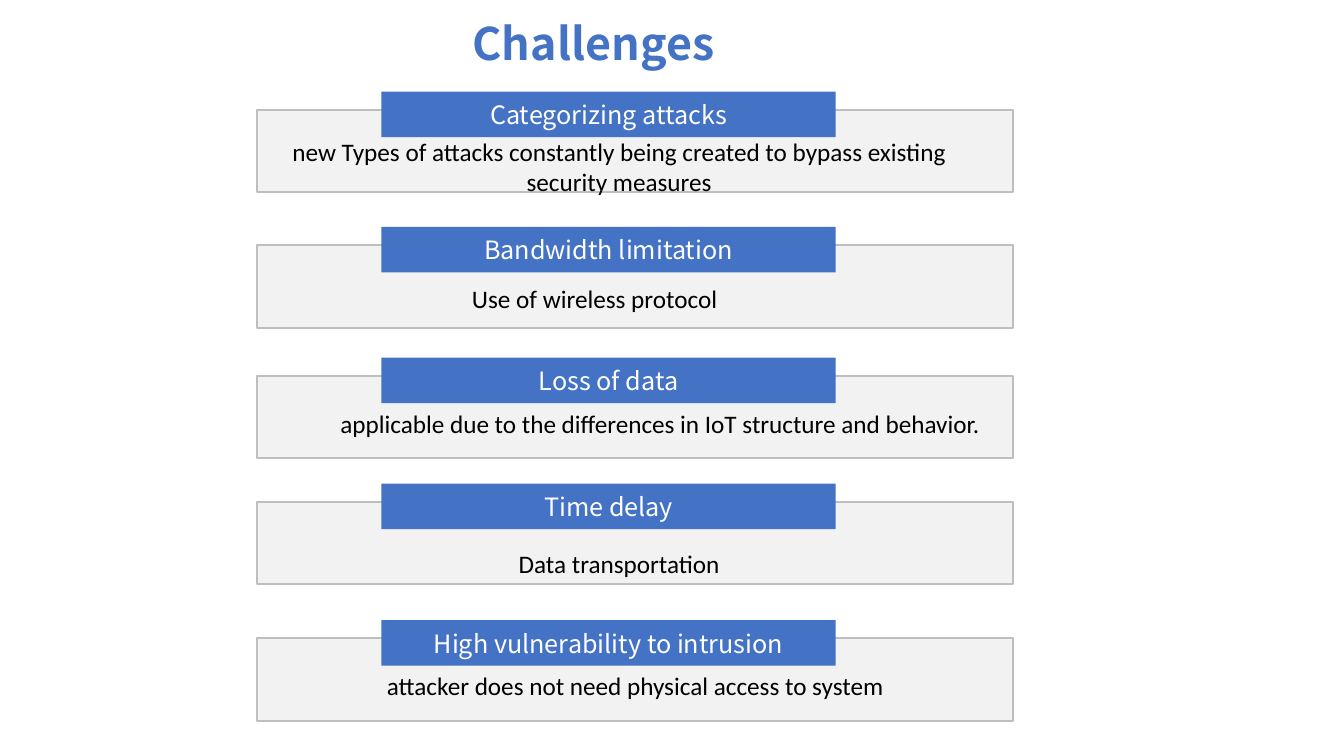
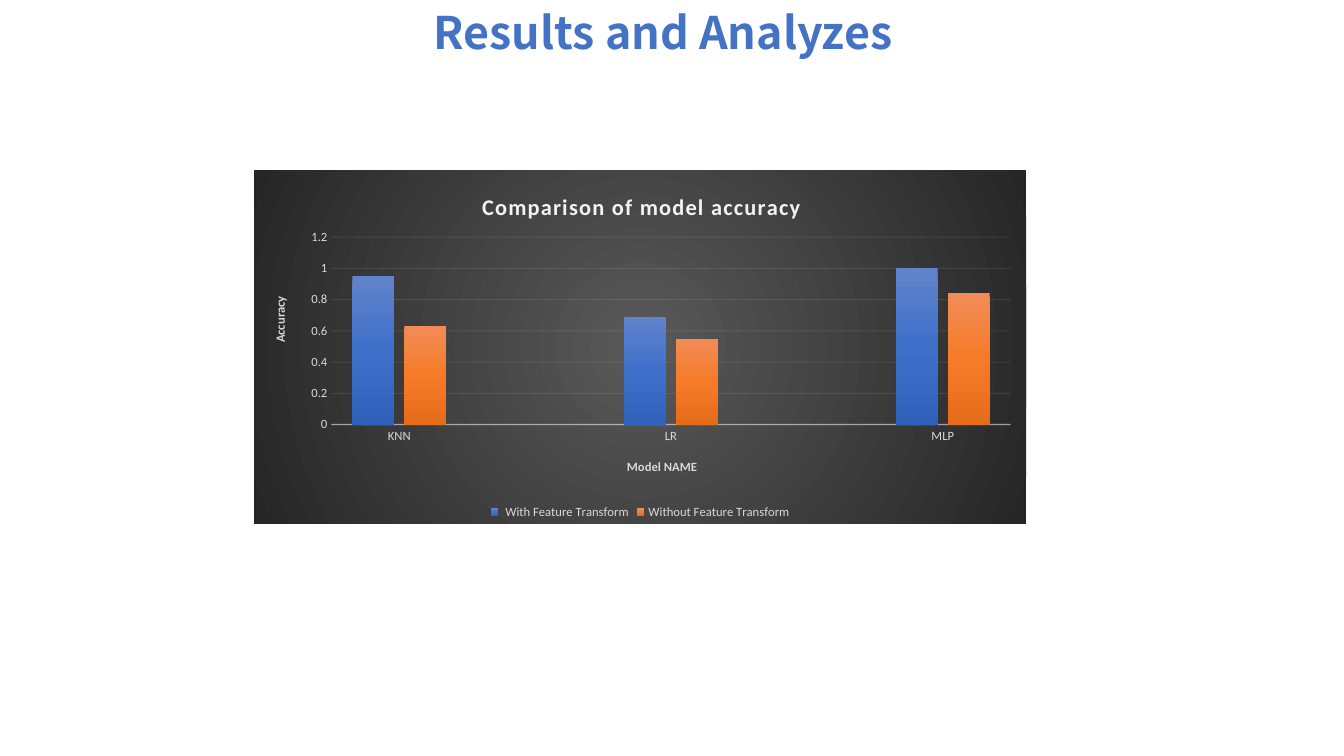
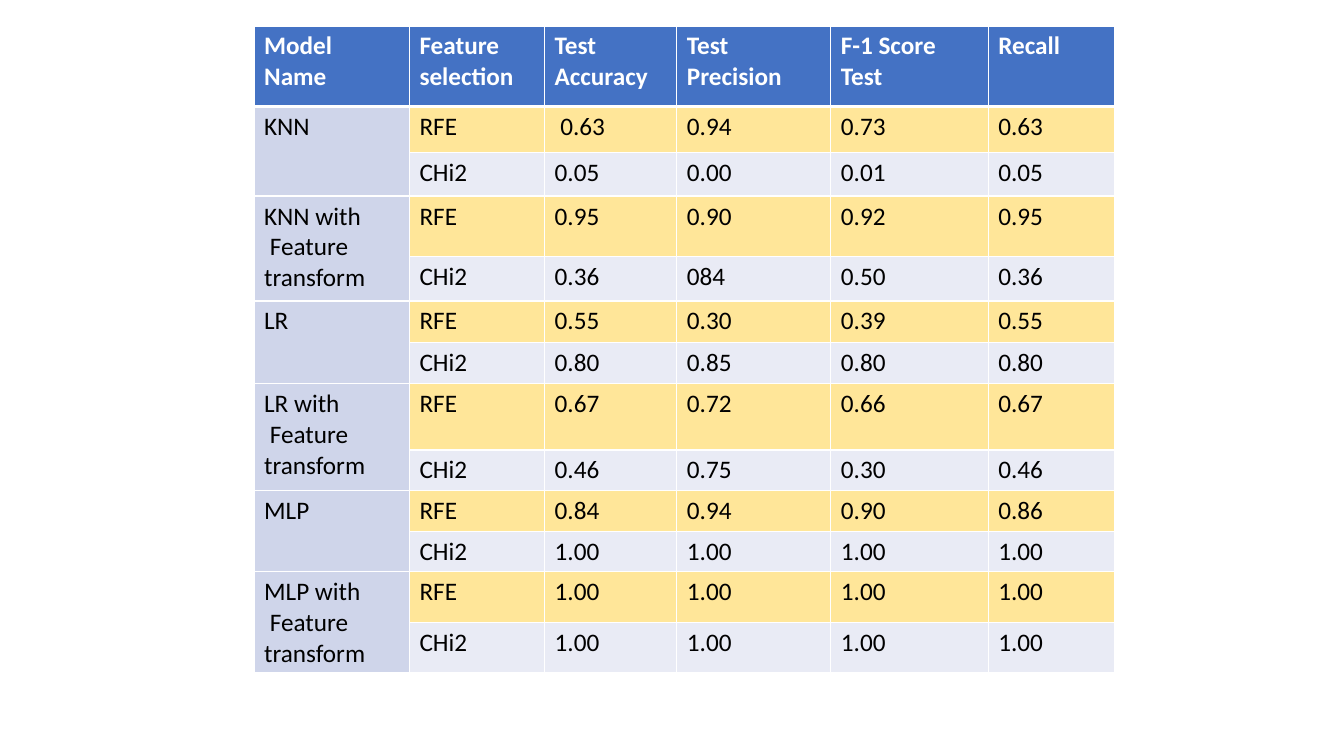
from lxml import etree
from pptx import Presentation
from pptx.chart import data
from pptx.dml.color import RGBColor
from pptx.enum import chart as ch, shapes, text
from pptx.oxml import ns
from pptx.util import Pt

# Shared colours and text formats
BLUE = RGBColor(0x44, 0x72, 0xC4)
WHITE = RGBColor(0xFF, 0xFF, 0xFF)
BLACK = RGBColor(0, 0, 0)
PALE = RGBColor(0xF2, 0xF2, 0xF2)
GREY = RGBColor(0xBF, 0xBF, 0xBF)
SOFT = RGBColor(0xD9, 0xD9, 0xD9)
LILAC = RGBColor(0xCF, 0xD5, 0xEA)
MIST = RGBColor(0xE9, 0xEB, 0xF5)
GOLD = RGBColor(0xFF, 0xE6, 0x99)

SANS, BODY = "Noto Sans CJK SC", "Calibri"
TITLE = dict(name=SANS, size=Pt(32), bold=True, color=BLUE)
TAB = dict(name=SANS, size=Pt(18), color=WHITE)
PLAIN = dict(name=BODY, size=Pt(18), bold=False, color=BLACK)
HEAD = dict(PLAIN, bold=True, color=WHITE)
SMALL = dict(name=BODY, size=Pt(9), bold=False, color=SOFT)
AXIS = dict(SMALL, bold=True)
CHART = dict(name=BODY, size=Pt(16), bold=True, color=PALE)

LEFT, MID = text.PP_ALIGN.LEFT, text.PP_ALIGN.CENTER

# Slide content: card top, tab label, note left, note top, note height, align, note
CARDS = [
    (78.5, "Categorizing attacks", 189.5, 93.5, 51, MID,
     "new Types of attacks constantly being created to bypass existing "
     "security measures"),
    (175, "Bandwidth limitation", 172, 198.5, 29, MID,
     "Use of wireless protocol"),
    (268.5, "Loss of data", 236, 288, 29, LEFT,
     "applicable due to the differences in IoT structure and behavior."),
    (358.5, "Time delay", 189.5, 388, 29, MID, "Data transportation"),
    (456, "High vulnerability to intrusion", 201, 475, 29, MID,
     "attacker does not need physical access to system"),
]
BARS = [
    (" With Feature Transform", [0.95, None, 0.69, None, 1],
     [(0, "6183CB"), (50, "3E70CA"), (100, "3062BB")]),
    ("Without Feature Transform", [0.63, None, 0.55, None, 0.84],
     [(0, "F18C57"), (50, "F67B28"), (100, "E56C19")]),
]
HEADS = ["Model Name", "Feature selection", "Test Accuracy",
         "Test Precision", "F-1 Score Test", "Recall"]
MORE = "\n Feature transform"
MODELS = [
    ("KNN", [" 0.63", "0.94", "0.73", "0.63"], ["0.05", "0.00", "0.01", "0.05"]),
    ("KNN with" + MORE, ["0.95", "0.90", "0.92", "0.95"],
     ["0.36", "084", "0.50", "0.36"]),
    ("LR", ["0.55", "0.30", "0.39", "0.55"], ["0.80", "0.85", "0.80", "0.80"]),
    ("LR with" + MORE, ["0.67", "0.72", "0.66", "0.67"],
     ["0.46", "0.75", "0.30", "0.46"]),
    ("MLP", ["0.84", "0.94", "0.90", "0.86"], ["1.00"] * 4),
    ("MLP with" + MORE, ["1.00"] * 4, ["1.00"] * 4),
]
COLS = [111, 96.5, 94.5, 110, 112.5, 90.5]
ROWS = [57.5, 33, 31, 43.5, 31.5, 29.5, 29.5, 47.5, 29, 29, 29, 36, 36]


# Text and shapes
def put(item, **vals):
    for key, val in vals.items():
        setattr(item, key, val)


def style(font, form):
    for key, val in form.items():
        if key == "color":
            font.color.rgb = val
        else:
            setattr(font, key, val)


def write(frame, words, form, align=None):
    for i, line in enumerate(words.split("\n")):
        para = frame.add_paragraph() if i else frame.paragraphs[0]
        para.alignment = align
        run = para.add_run()
        run.text = line
        style(run.font, form)
    return run


def note(slide, box, words, form, align=LEFT):
    frame = slide.shapes.add_textbox(*map(Pt, box)).text_frame
    put(frame, word_wrap=True, auto_size=text.MSO_AUTO_SIZE.SHAPE_TO_FIT_TEXT)
    write(frame, words, form, align)


def block(slide, box, fill, edge=None):
    rect = slide.shapes.add_shape(shapes.MSO_SHAPE.RECTANGLE, *map(Pt, box))
    rect.shadow.inherit = False
    rect.fill.solid()
    rect.fill.fore_color.rgb = fill
    if edge is None:
        rect.line.fill.background()
    else:
        rect.line.color.rgb = edge
        rect.line.width = Pt(1.5)
    return rect


def card(slide, top, label, left, low, high, align, words):
    block(slide, (183.5, top, 540, 59), PALE, GREY)
    tab = block(slide, (272.5, top - 13, 324.5, 32.5), BLUE)
    tab.text_frame.vertical_anchor = text.MSO_ANCHOR.MIDDLE
    write(tab.text_frame, label, TAB, MID)
    note(slide, (left, low, 505.5, high), words, PLAIN, align)


# XML helpers
def node(root, tag, **vals):
    return etree.SubElement(root, ns.qn(tag), **vals)


def blend(root, stops, round=False):
    grad = node(root, "a:gradFill", rotWithShape="1")
    group = node(grad, "a:gsLst")
    for pos, tone in stops:
        stop = node(group, "a:gs", pos=str(pos * 1000))
        node(stop, "a:srgbClr", val=tone)
    if round:
        way = node(grad, "a:path", path="circle")
        node(way, "a:fillToRect", l="50000", t="50000", r="50000", b="50000")
    else:
        node(grad, "a:lin", ang="5400000", scaled="0")


def fade(root, part):
    for tone in root.iter(ns.qn("a:srgbClr")):
        node(tone, "a:alpha", val=str(part * 1000))


def place(root, index, inner=False, **vals):
    old = root.find(ns.qn("c:layout"))
    if old is not None:
        root.remove(old)
    lay = etree.Element(ns.qn("c:layout"))
    root.insert(index, lay)
    man = node(lay, "c:manualLayout")
    if inner:
        node(man, "c:layoutTarget", val="inner")
    for key in "xy":
        node(man, f"c:{key}Mode", val="edge")
    for key, val in vals.items():
        node(man, f"c:{key}", val=str(val))


def border(cell, sides):
    prop = cell._tc.get_or_add_tcPr()
    for i, (side, width) in enumerate(sides.items()):
        line = etree.Element(ns.qn(f"a:ln{side}"), w=str(Pt(width)))
        node(node(line, "a:solidFill"), "a:srgbClr", val=str(WHITE))
        prop.insert(i, line)


# Chart
def graph(slide, box):
    info = data.CategoryChartData()
    info.categories = ["KNN", "", "LR", "", "MLP"]
    for name, vals, _ in BARS:
        info.add_series(name, vals)
    kind = ch.XL_CHART_TYPE.COLUMN_CLUSTERED
    chart = slide.shapes.add_chart(kind, *map(Pt, box), info).chart

    # Background
    style(chart.font, SMALL)
    space = chart._chartSpace
    back = etree.Element(ns.qn("c:spPr"))
    space.find(ns.qn("c:txPr")).addprevious(back)
    blend(back, [(0, "595959"), (100, "262626")], round=True)
    node(node(back, "a:ln"), "a:noFill")

    # Bars
    plot = chart.plots[0]
    put(plot, gap_width=100, overlap=-24, vary_by_categories=False)
    for bar, (_, _, stops) in zip(plot.series, BARS):
        bar.invert_if_negative = False
        blend(bar._element.get_or_add_spPr(), stops)

    # Title and legend
    chart.has_title = True
    run = write(chart.chart_title.text_frame, "Comparison of model accuracy", CHART)
    run._r.get_or_add_rPr().set("spc", "100")
    place(chart.chart_title._element, 1, x=0.29, y=0.05)
    chart.has_legend = True
    put(chart.legend, position=ch.XL_LEGEND_POSITION.BOTTOM,
        include_in_layout=False)
    style(chart.legend.font, SMALL)

    # Axes
    cat, val = chart.category_axis, chart.value_axis
    spots = [(cat, "Model NAME", 0.48, 0.81), (val, "Accuracy", 0.02, 0.35)]
    for axis, words, x, y in spots:
        put(axis, major_tick_mark=ch.XL_TICK_MARK.NONE,
            minor_tick_mark=ch.XL_TICK_MARK.NONE)
        style(axis.tick_labels.font, SMALL)
        write(axis.axis_title.text_frame, words, AXIS)
        place(axis.axis_title._element, 1, x=x, y=y)
    put(val, minimum_scale=0, maximum_scale=1.2, major_unit=0.2,
        has_major_gridlines=True)
    val.format.line.fill.background()
    grid = val.major_gridlines.format.line
    for line, width in ((cat.format.line, 1), (grid, 0.75)):
        line.color.rgb = PALE
        line.width = Pt(width)
    fade(cat._element.find(ns.qn("c:spPr")), 54)
    fade(val._element.find(ns.qn("c:majorGridlines")), 10)
    area = space.find(".//" + ns.qn("c:plotArea"))
    place(area, 0, inner=True, x=0.1, y=0.19, w=0.88, h=0.53)


# Table
def fill(cell, words, form, tone, top=1, low=1, align=None):
    write(cell.text_frame, words, form, align)
    cell.fill.solid()
    cell.fill.fore_color.rgb = tone
    border(cell, dict(L=1, R=1, T=top, B=low))


def scores(slide, left, top):
    box = map(Pt, (left, top, sum(COLS), sum(ROWS)))
    table = slide.shapes.add_table(len(ROWS), len(COLS), *box).table
    for col, width in zip(table.columns, COLS):
        col.width = Pt(width)
    for row, high in zip(table.rows, ROWS):
        row.height = Pt(high)
    for c, words in enumerate(HEADS):
        align = text.PP_ALIGN.JUSTIFY if c == 1 else None
        fill(table.cell(0, c), words, HEAD, BLUE, low=3, align=align)
    for m, (model, rfe, chi) in enumerate(MODELS):
        first = 2 * m + 1
        edge = 3 if m == 0 else 1
        name = table.cell(first, 0)
        name.merge(table.cell(first + 1, 0))
        fill(name, model, PLAIN, LILAC, top=edge)
        border(table.cell(first + 1, 0), dict(L=1, R=1, T=1, B=1))
        for c, words in enumerate(["RFE"] + rfe, 1):
            fill(table.cell(first, c), words, PLAIN, GOLD, top=edge)
        for c, words in enumerate(["CHi2"] + chi, 1):
            fill(table.cell(first + 1, c), words, PLAIN, MIST)


def main():
    deck = Presentation()
    put(deck, slide_width=Pt(960), slide_height=Pt(540))
    blank = deck.slide_layouts[6]
    risks, results, details = (deck.slides.add_slide(blank) for _ in range(3))

    # Challenges
    for item in CARDS:
        card(risks, *item)
    note(risks, (330.5, 8, 317.5, 46), "Challenges", TITLE)

    # Results
    note(results, (302.5, 0, 480, 46), "Results and Analyzes", TITLE)
    graph(results, (181.5, 121.5, 551.5, 252.5))

    # Scores per model
    scores(details, 181.5, 18.5)
    deck.save("out.pptx")


main()
